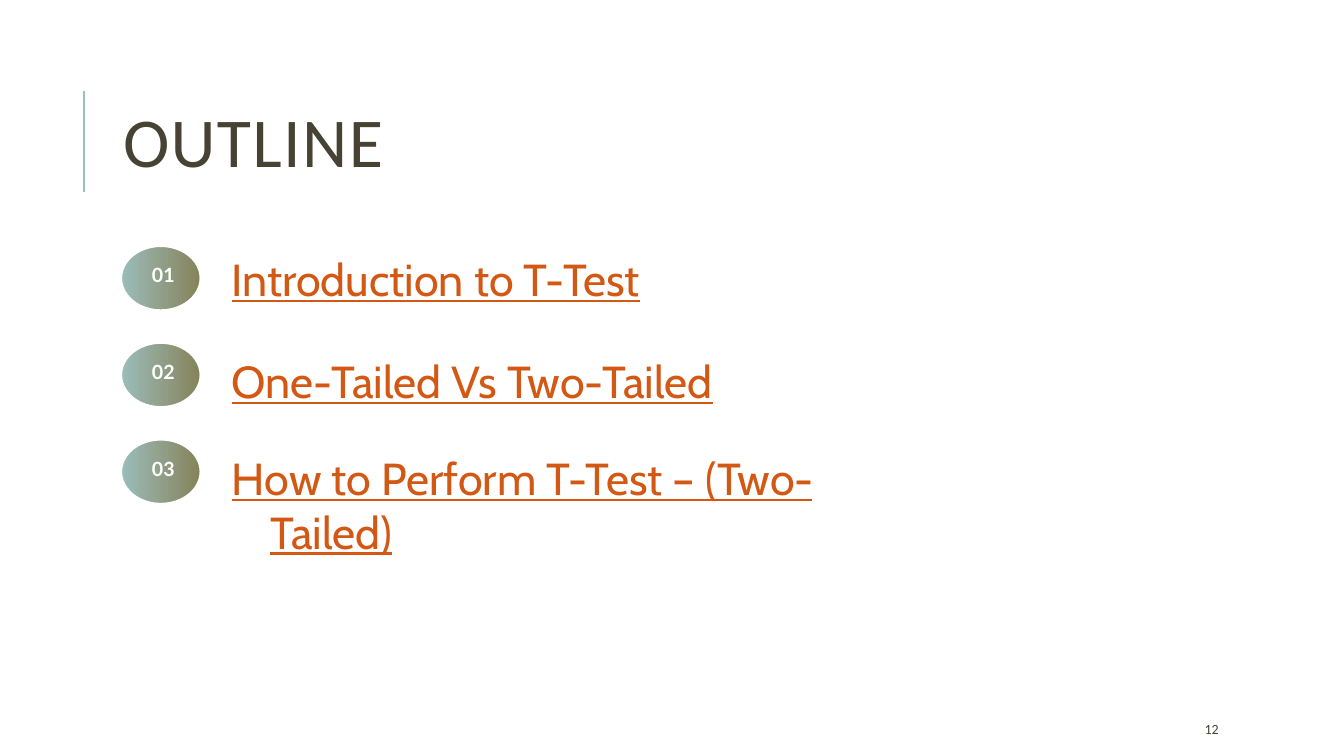
from lxml.etree import SubElement
from pptx import Presentation
from pptx.dml.color import RGBColor
from pptx.enum.shapes import MSO_CONNECTOR, MSO_SHAPE
from pptx.enum.text import MSO_ANCHOR, MSO_AUTO_SIZE, PP_ALIGN
from pptx.oxml import parse_xml
from pptx.oxml.ns import nsdecls, qn
from pptx.util import Inches, Pt

TITLE = "OUTLINE"
SLIDE_NUMBER = "12"
TOPICS = [
    ("01", "Introduction to T-Test", 2.45, 5.26),
    ("02", "One-Tailed Vs Two-Tailed", 3.46, 5.78),
    ("03", "How to Perform T-Test – (Two-Tailed)", 4.42, 7.11),
]
BADGE_TOP, ROW_PITCH = 2.43, 0.96
DARK, TEAL, OLIVE, ORANGE, WHITE = "474233", "9CBEBD", "858157", "D25814", "FFFFFF"


def color(value):
    return RGBColor.from_string(value)


def style(paragraph, name, size, value):
    font = paragraph.font
    font.name = name
    font.size = Pt(size)
    font.color.rgb = color(value)
    return font


def add_text(slide, text, left, top, width, height):
    box = slide.shapes.add_textbox(Inches(left), Inches(top), Inches(width), Inches(height))
    box.text_frame.word_wrap = True
    paragraph = box.text_frame.paragraphs[0]
    paragraph.text = text
    return box.text_frame, paragraph


def add_text_shadow(paragraph):
    properties = paragraph._p.pPr.find(qn("a:defRPr"))
    properties.find(qn("a:solidFill")).addnext(parse_xml(
        f'<a:effectLst {nsdecls("a")}><a:outerShdw blurRad="38100" dist="38100" dir="2700000">'
        '<a:srgbClr val="000000"><a:alpha val="43000"/></a:srgbClr></a:outerShdw></a:effectLst>'))


def add_title(slide):
    rule = slide.shapes.add_connector(
        MSO_CONNECTOR.STRAIGHT, Inches(0.83), Inches(1.9), Inches(0.83), Inches(0.9))
    rule.line.color.rgb = color(TEAL)
    rule.line.width = Pt(1.5)
    SubElement(rule._element.spPr, qn("a:effectLst"))

    title = slide.shapes.title
    title.left, title.top = Inches(1.12), Inches(0.64)
    title.width, title.height = Inches(10.63), Inches(1.64)
    frame = title.text_frame
    frame.text = TITLE
    frame.vertical_anchor = MSO_ANCHOR.MIDDLE
    frame.auto_size = MSO_AUTO_SIZE.NONE
    paragraph = frame.paragraphs[0]
    paragraph.alignment = PP_ALIGN.LEFT
    paragraph.line_spacing = 0.8
    style(paragraph, "Calibri", 50, DARK)
    paragraph._p.pPr.find(qn("a:defRPr")).set("spc", "100")


def add_badge(slide, number, top):
    badge = slide.shapes.add_shape(
        MSO_SHAPE.OVAL, Inches(1.19), Inches(top), Inches(0.81), Inches(0.66))
    badge.shadow.inherit = False
    badge.fill.gradient()
    badge.fill.gradient_angle = 180
    for stop, value in zip(badge.fill.gradient_stops, (OLIVE, TEAL)):
        stop.color.rgb = color(value)
    badge.line.color.rgb = color(WHITE)
    badge.line.width = Pt(3)

    frame, paragraph = add_text(slide, number, 1.2, top + 0.13, 0.84, 0.42)
    frame.auto_size = MSO_AUTO_SIZE.SHAPE_TO_FIT_TEXT
    paragraph.alignment = PP_ALIGN.CENTER
    paragraph.space_after = Pt(12)
    style(paragraph, "Lato", 14, WHITE).bold = True
    add_text_shadow(paragraph)


def add_topic(slide, topic, top, width):
    frame, paragraph = add_text(slide, topic, 2.2, top, width, 0.64)
    frame.auto_size = MSO_AUTO_SIZE.SHAPE_TO_FIT_TEXT
    properties = paragraph._p.get_or_add_pPr()
    properties.set("marL", str(Inches(0.38)))
    properties.set("indent", str(-Inches(0.38)))
    style(paragraph, "Cabin", 32, ORANGE).underline = True
    add_text_shadow(paragraph)


def main():
    presentation = Presentation()
    presentation.slide_width = Inches(13.33)
    presentation.slide_height = Inches(7.5)
    slide = presentation.slides.add_slide(presentation.slide_layouts[5])
    add_title(slide)
    for row, (number, topic, top, width) in enumerate(TOPICS):
        add_badge(slide, number, BADGE_TOP + row * ROW_PITCH)
        add_topic(slide, topic, top, width)
    frame, paragraph = add_text(slide, SLIDE_NUMBER, 11.85, 7.08, 1.06, 0.3)
    frame.vertical_anchor = MSO_ANCHOR.MIDDLE
    style(paragraph, "Calibri", 10, DARK)
    presentation.save("out.pptx")


if __name__ == "__main__":
    main()
